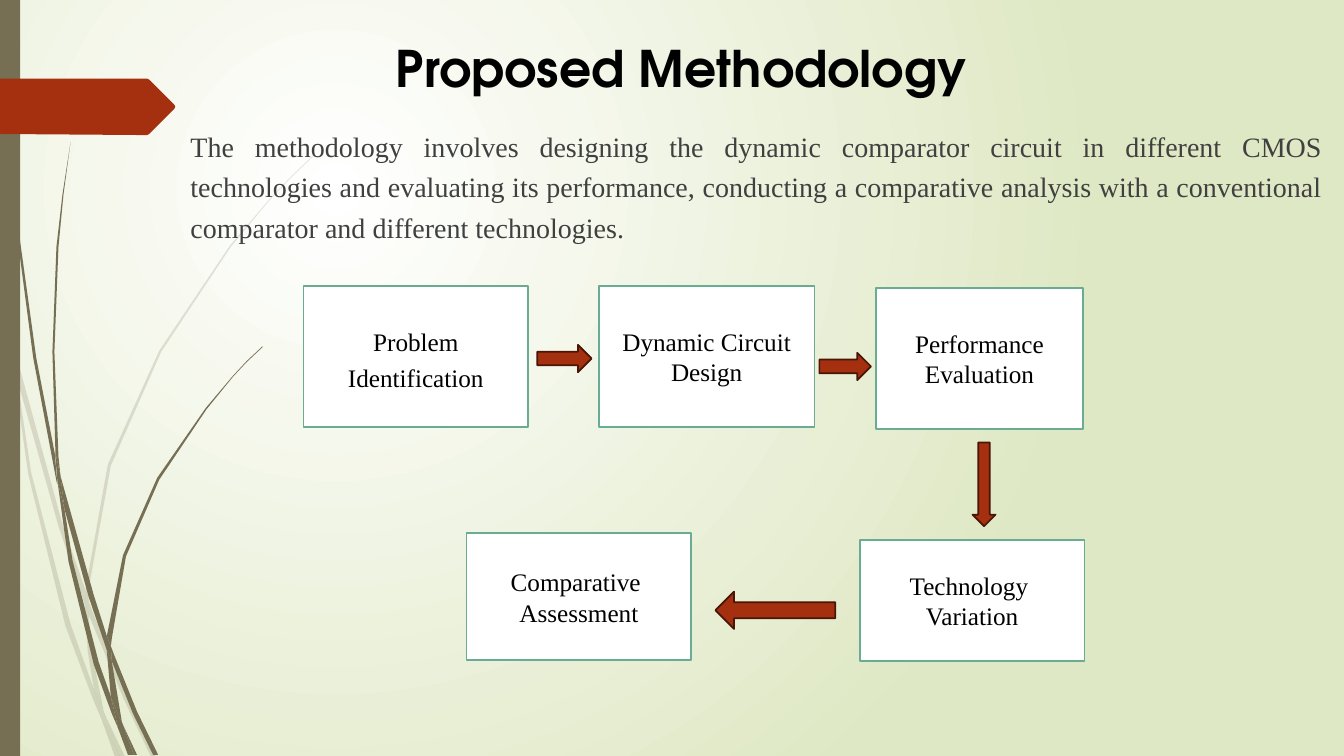
"""Build the Proposed Methodology slide with its flow of five steps."""
from lxml import etree
from pptx import Presentation, util as u
from pptx.dml.color import RGBColor
from pptx.enum import shapes, text
from pptx.oxml import ns

WHITE = RGBColor(0xFF, 0xFF, 0xFF)
BLACK = RGBColor(0, 0, 0)
CHARCOAL = RGBColor(0x40, 0x40, 0x40)
OLIVE = RGBColor(0x76, 0x6F, 0x54)
PALE_GREEN = RGBColor(0xDF, 0xE8, 0xC4)
TEAL = RGBColor(0x6A, 0xAC, 0x91)
RUST = RGBColor(0xA5, 0x30, 0x10)
DARK_RUST = RGBColor(0x48, 0x15, 0x07)
HEADING_FONT = "TeX Gyre Adventor"
TEXT_FONT = "Times New Roman"
HUNDREDTH_INCH = u.Cm(0.0254)

PALE_GRASS = [
    [(11, 350), (9, 322), (0, 282), (0, 299), (10, 344)],
    [(58, 522), (84, 599), (85, 586), (62, 520), (14, 345), (17, 376)],
    [(92, 607), (88, 596), (88, 610), (123, 694), (150, 751), (155, 751), (127, 692)],
    [(119, 751), (124, 751), (105, 711)],
    [(93, 683), (70, 619), (31, 469), (17, 376), (11, 350), (28, 470), (65, 621),
     (92, 693), (101, 714), (99, 707)],
    [(84, 599), (87, 646), (93, 683), (96, 692), (105, 711), (103, 706), (91, 646),
     (88, 610), (88, 608)],
    [(88, 584), (110, 462), (160, 349), (229, 245), (268, 198), (290, 175), (312, 154),
     (312, 153), (289, 175), (268, 197), (228, 244), (158, 348), (107, 461), (85, 584),
     (85, 586), (88, 596)],
    [(101, 714), (114, 751), (119, 751)],
    [(88, 608), (88, 610), (88, 596), (85, 586), (84, 599)],
    [(96, 692), (93, 683), (99, 707), (101, 714), (119, 751), (105, 711)],
]
DARK_GRASS = [
    [(7, 110), (17, 233), (33, 355), (56, 477), (57, 481), (55, 457), (55, 453), (36, 355),
     (19, 232), (8, 109), (5, 48), (4, 0), (3, 0), (4, 48)],
    [(88, 592), (106, 645), (106, 633), (106, 631), (93, 590), (60, 472), (64, 505)],
    [(113, 649), (110, 641), (111, 656), (132, 708), (152, 749), (157, 749), (136, 706)],
    [(110, 691), (98, 657), (72, 556), (64, 505), (57, 477), (68, 557), (93, 659),
     (111, 708), (117, 722), (116, 717)],
    [(60, 472), (58, 453), (54, 349), (58, 245), (63, 193), (70, 141), (62, 193),
     (56, 245), (52, 349), (55, 449)],
    [(133, 749), (136, 749), (122, 719)],
    [(57, 477), (64, 505), (60, 472), (55, 449), (55, 453)],
    [(111, 633), (125, 552), (158, 476), (205, 406), (231, 374), (245, 359), (261, 344),
     (260, 344), (245, 358), (231, 373), (204, 405), (156, 474), (122, 551), (106, 631),
     (110, 641)],
    [(117, 722), (127, 749), (131, 749)],
    [(106, 645), (110, 691), (116, 706), (122, 719), (121, 716), (111, 656), (109, 651)],
    [(106, 645), (109, 651), (111, 656), (110, 641), (106, 631), (106, 633)],
    [(116, 706), (110, 691), (116, 717), (117, 722), (130, 749), (133, 749), (122, 719)],
]
PAGE_TAG = [(173, 108), (148, 133), (146, 134), (136, 134), (0, 133), (0, 78), (136, 78),
            (146, 78), (148, 79), (173, 104), (174, 106)]

STEPS = [
    (["Problem Identification"], (7.65, 7.21, 5.66, 3.56), 1.2),
    (["Dynamic Circuit Design"], (15.09, 7.21, 5.44, 3.56), 1),
    (["Performance Evaluation"], (22.07, 7.26, 5.23, 3.56), 1),
    (["Technology ", "Variation"], (21.67, 13.61, 5.66, 3.05), 1),
    (["Comparative ", "Assessment"], (11.76, 13.44, 5.66, 3.2), 1),
]
PRESET = shapes.MSO_SHAPE
ARROWS = [
    (PRESET.RIGHT_ARROW, (13.54, 8.69, 1.37, 0.69), 0.5),
    (PRESET.RIGHT_ARROW, (20.65, 8.89, 1.3, 0.69), 0.5),
    (PRESET.LEFT_ARROW, (18.03, 14.91, 3.02, 0.94), 0.43),
    (PRESET.DOWN_ARROW, (24.51, 11.15, 0.58, 2.11), 0.5),
]
METHOD_SUMMARY = (
    "The methodology involves designing the dynamic comparator circuit in different CMOS "
    "technologies and evaluating its performance, conducting a comparative analysis with a "
    "conventional comparator and different technologies."
)


class MethodologySlide:
    """Hold the current slide and draw each kind of element in its style."""

    def __init__(self, deck):
        self.slide = deck.slides.add_slide(deck.slide_layouts[6])

    def background(self, centre, edge):
        """Fill the background with a circular gradient."""
        fill = self.slide.background.fill
        fill.gradient()
        for stop, color, position in zip(fill.gradient_stops, (centre, edge), (0, 1)):
            stop.color.rgb = color
            stop.position = position
        gradient = self.slide.element.find(".//" + ns.qn("a:gradFill"))
        gradient.remove(gradient.find(ns.qn("a:lin")))
        circle = etree.SubElement(gradient, ns.qn("a:path"))
        circle.set("path", "circle")
        focus = etree.SubElement(circle, ns.qn("a:fillToRect"))
        for side, share in zip("ltrb", (50000, 50000, 100000, 100000)):
            focus.set(side, str(share))

    def paint(self, shape, color, outline=None):
        """Set fill and outline and drop the shadow."""
        shape.shadow.inherit = False
        shape.fill.solid()
        shape.fill.fore_color.rgb = color
        if outline is None:
            shape.line.fill.background()
        else:
            shape.line.color.rgb = outline
            shape.line.width = u.Pt(1.25)

    def outline(self, points, color, opacity=100, parent=None):
        """Draw a closed outline from points in hundredths of an inch."""
        owner = parent or self.slide
        builder = owner.shapes.build_freeform(*points[0], scale=HUNDREDTH_INCH)
        builder.add_line_segments(points[1:], close=True)
        shape = builder.convert_to_shape()
        self.paint(shape, color)
        if opacity < 100:
            solid = shape.element.spPr.find(ns.qn("a:solidFill"))
            etree.SubElement(solid[0], ns.qn("a:alpha")).set("val", str(opacity * 1000))

    def grass(self, blades, opacity):
        """Draw a group of grass blades."""
        tuft = self.slide.shapes.add_group_shape()
        for blade in blades:
            self.outline(blade, OLIVE, opacity, tuft)

    def preset(self, kind, place, color, outline=None):
        """Draw a preset shape."""
        shape = self.slide.shapes.add_shape(kind, *map(u.Cm, place))
        self.paint(shape, color, outline)
        return shape

    def add_lines(self, frame, lines, size, color, font=TEXT_FONT, bold=False,
                  align=text.PP_ALIGN.CENTER, spacing=1):
        """Put one paragraph per line into a text frame."""
        frame.word_wrap = True
        for index, line in enumerate(lines):
            paragraph = frame.paragraphs[0] if index == 0 else frame.add_paragraph()
            paragraph.alignment = align
            paragraph.line_spacing = spacing
            run = paragraph.add_run()
            run.text = line
            run.font.name = font
            run.font.size = u.Pt(size)
            run.font.bold = bold
            run.font.color.rgb = color

    def label(self, place, line, size, color, **style):
        """Add a text box."""
        box = self.slide.shapes.add_textbox(*map(u.Cm, place))
        self.add_lines(box.text_frame, [line], size, color, **style)

    def step(self, lines, place, spacing):
        """Draw one step of the flow."""
        frame = self.preset(PRESET.RECTANGLE, place, WHITE, TEAL).text_frame
        frame.vertical_anchor = text.MSO_ANCHOR.MIDDLE
        self.add_lines(frame, lines, 18, BLACK, spacing=spacing)

    def arrow(self, kind, place, shaft):
        """Draw a block arrow."""
        self.preset(kind, place, RUST, DARK_RUST).adjustments[0] = shaft


def main():
    """Build and save the deck."""
    deck = Presentation()
    deck.slide_width, deck.slide_height = u.Cm(33.87), u.Cm(19.05)
    page = MethodologySlide(deck)
    page.background(WHITE, PALE_GREEN)
    page.grass(PALE_GRASS, 20)
    page.grass(DARK_GRASS, 100)
    page.preset(PRESET.RECTANGLE, (0, 0, 0.51, 19.05), OLIVE)
    page.outline(PAGE_TAG, RUST)
    page.label((5.03, 0.81, 24.28, 3.1), "Proposed Methodology", 36, BLACK,
               font=HEADING_FONT, bold=True)
    page.label((4.55, 2.97, 29.03, 4.01), METHOD_SUMMARY, 20, CHARCOAL,
               align=text.PP_ALIGN.JUSTIFY, spacing=1.2)
    for step in STEPS:
        page.step(*step)
    for arrow in ARROWS:
        page.arrow(*arrow)
    deck.save("out.pptx")


if __name__ == "__main__":
    main()
